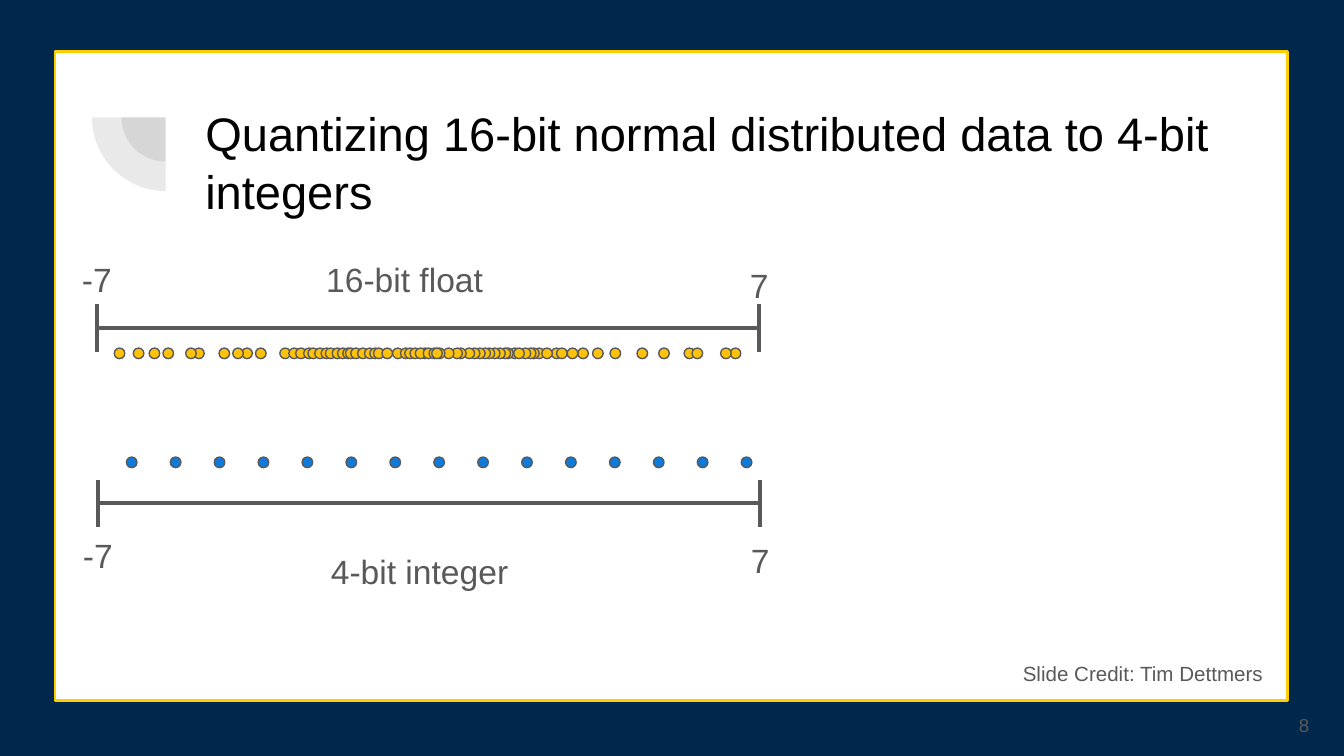
from dataclasses import dataclass

from pptx import Presentation
from pptx.dml.color import RGBColor
from pptx.enum.shapes import MSO_CONNECTOR as Connector, MSO_SHAPE as Shape
from pptx.enum.text import MSO_ANCHOR as Anchor, PP_ALIGN as Align
from pptx.oxml.ns import qn
from pptx.util import Cm, Pt
from lxml.etree import SubElement


@dataclass(frozen=True)
class Theme:
    font: str = "Arial"
    navy: str = "00274C"
    white: str = "FFFFFF"
    frame: str = "FFCF01"
    title: str = "000000"
    grey: str = "595959"
    float_dot: str = "FFC20A"
    integer_dot: str = "0C7BDC"
    title_size: float = 25.2
    label_size: float = 18
    credit_size: float = 11
    number_size: float = 10


@dataclass(frozen=True)
class Scale:
    name: str
    name_width: float
    name_align: Align
    name_top: float
    label_top: float
    dot_middle: float
    dot_color: str
    dots: tuple


THEME = Theme()
INSET = 0.25
DOT = 0.2
FLOAT_DOTS = (
    2.41, 1.35, 1.93, 2.84, 2.67, 3.1, 3.56, 3.73, 3.86, 4.01, 4.09, 4.22,
    4.34, 4.42, 4.55, 4.65, 4.75, 4.8, 4.9, 5.03, 5.16, 7.9, 7.77, 7.72,
    7.62, 7.52, 8.36, 8.26, 8.2, 8.1, 7.98, 7.42, 7.34, 7.24, 7.14, 7.04,
    6.88, 6.81, 5.26, 5.33, 5.49, 8.69, 8.51, 9.47, 9.19, 8.99, 8.79, 11.2,
    10.31, 9.8, 12.07, 0.43, 0.79, 1.09, 1.78, 11.35, 10.72, 11.89, 6.65,
    6.48, 6.2, 5.69, 5.84, 5.92, 6.02, 6.12, 6.27, 6.38, 6.43,
)
INTEGER_DOTS = tuple(0.64 + 0.83 * step for step in range(15))
FLOAT_SCALE = Scale("16-bit float", 3.99, Align.LEFT, -1.09, -1.09, 0.94,
                    THEME.float_dot, FLOAT_DOTS)
INTEGER_SCALE = Scale("4-bit integer", 5.82, Align.CENTER, 1.09, 0.79, -0.33,
                      THEME.integer_dot, INTEGER_DOTS)


def color(code):
    return RGBColor.from_string(code)


def place(shape, box):
    shape.left, shape.top, shape.width, shape.height = map(Cm, box)


def write(shape, text, size, ink, align=Align.LEFT, anchor=Anchor.TOP):
    frame = shape.text_frame
    frame.word_wrap = True
    frame.vertical_anchor = anchor
    frame.margin_left = frame.margin_right = Cm(INSET)
    frame.margin_top = frame.margin_bottom = Cm(INSET)
    frame.text = text
    paragraph = frame.paragraphs[0]
    paragraph.alignment = align
    paragraph.font.name = THEME.font
    paragraph.font.size = Pt(size)
    paragraph.font.color.rgb = color(ink)
    return paragraph


def add_text(slide, box, text, size, **layout):
    shape = slide.shapes.add_textbox(*map(Cm, box))
    write(shape, text, size, THEME.grey, **layout)


def add_filled(slide, kind, box, fill, line=None, line_width=0.75):
    shape = slide.shapes.add_shape(kind, *map(Cm, box))
    shape.shadow.inherit = False
    shape.fill.solid()
    shape.fill.fore_color.rgb = color(fill)
    if line:
        shape.line.color.rgb = color(line)
        shape.line.width = Pt(line_width)
    else:
        shape.line.fill.background()
    return shape


def add_line(slide, start, end):
    line = slide.shapes.add_connector(
        Connector.STRAIGHT, *map(Cm, (*start, *end)))
    line.line.color.rgb = color(THEME.grey)
    line.line.width = Pt(2.25)
    SubElement(line._element.spPr, qn("a:effectLst"))


def add_frame(slide, box):
    add_filled(slide, Shape.RECTANGLE, box, THEME.white, THEME.frame, 1.5)


def add_quarter_rings(slide, box):
    left, top, width, height = box
    for scale in (0.6, 1):
        ring = (left + width * (1 - scale), top - height * scale,
                2 * width * scale, 2 * height * scale)
        pie = add_filled(slide, Shape.PIE, ring, THEME.grey)
        pie.rotation = 270
        pie.adjustments[0], pie.adjustments[1] = 108, 162
        ink = pie._element.spPr.find(qn("a:solidFill"))[0]
        SubElement(ink, qn("a:alpha"), val="13000")


def add_title(slide, box, text):
    title = slide.shapes.title
    place(title, box)
    paragraph = write(title, text, THEME.title_size, THEME.title,
                      anchor=Anchor.MIDDLE)
    paragraph.line_spacing = 1.04


def add_scale(slide, box, scale):
    left, top, width, height = box
    right, middle = left + width, top + height / 2
    for center in scale.dots:
        dot = (left + center - DOT / 2, top + scale.dot_middle - DOT / 2,
               DOT, DOT)
        add_filled(slide, Shape.OVAL, dot, scale.dot_color, THEME.grey)
    add_line(slide, (left, middle), (right + 0.04, middle))
    label_width = 3.53
    for end, label, drop in ((left, "-7", 0), (right, "7", 0.1)):
        add_line(slide, (end, top), (end, top + height))
        label_box = (end - label_width / 2, top + scale.label_top + drop,
                     label_width, 1.09)
        add_text(slide, label_box, label, THEME.label_size,
                 align=Align.CENTER)
    name_box = (left + 6.08 - scale.name_width / 2, top + scale.name_top,
                scale.name_width, 0.61)
    add_text(slide, name_box, scale.name, THEME.label_size,
             align=scale.name_align)


def add_footer(slide, box):
    left, top, width, height = box
    add_text(slide, (left, top, 5.18, 0.99), "Slide Credit: Tim Dettmers",
             THEME.credit_size)
    add_text(slide, (left + width - 1.52, top + height - 1.09, 1.52, 1.09),
             "8", THEME.number_size, align=Align.RIGHT, anchor=Anchor.MIDDLE)


def main():
    presentation = Presentation()
    presentation.slide_width = Cm(25.4)
    presentation.slide_height = Cm(14.29)
    slide = presentation.slides.add_slide(presentation.slide_layouts[5])
    slide.background.fill.solid()
    slide.background.fill.fore_color.rgb = color(THEME.navy)

    add_frame(slide, (1.04, 0.97, 23.29, 12.27))
    add_quarter_rings(slide, (1.74, 2.22, 1.39, 1.39))
    add_title(slide, (3.63, 1.65, 19.6, 2.77),
              "Quantizing 16-bit normal distributed data to 4-bit integers")
    slide.shapes._spTree.append(slide.shapes.title._element)
    add_scale(slide, (1.83, 5.74, 12.52, 0.91), FLOAT_SCALE)
    add_scale(slide, (1.85, 9.07, 12.52, 0.89), INTEGER_SCALE)
    add_footer(slide, (19.08, 12.27, 5.91, 1.98))
    presentation.save("out.pptx")


if __name__ == "__main__":
    main()
